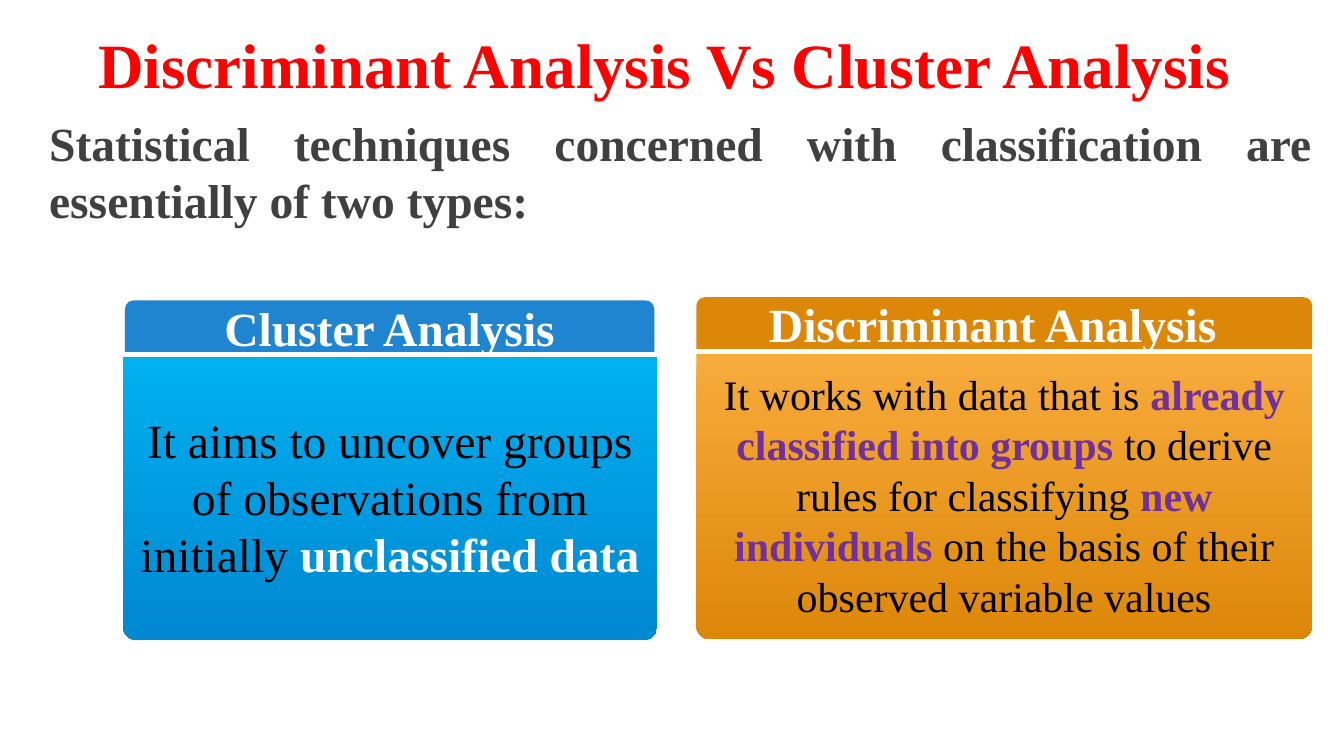
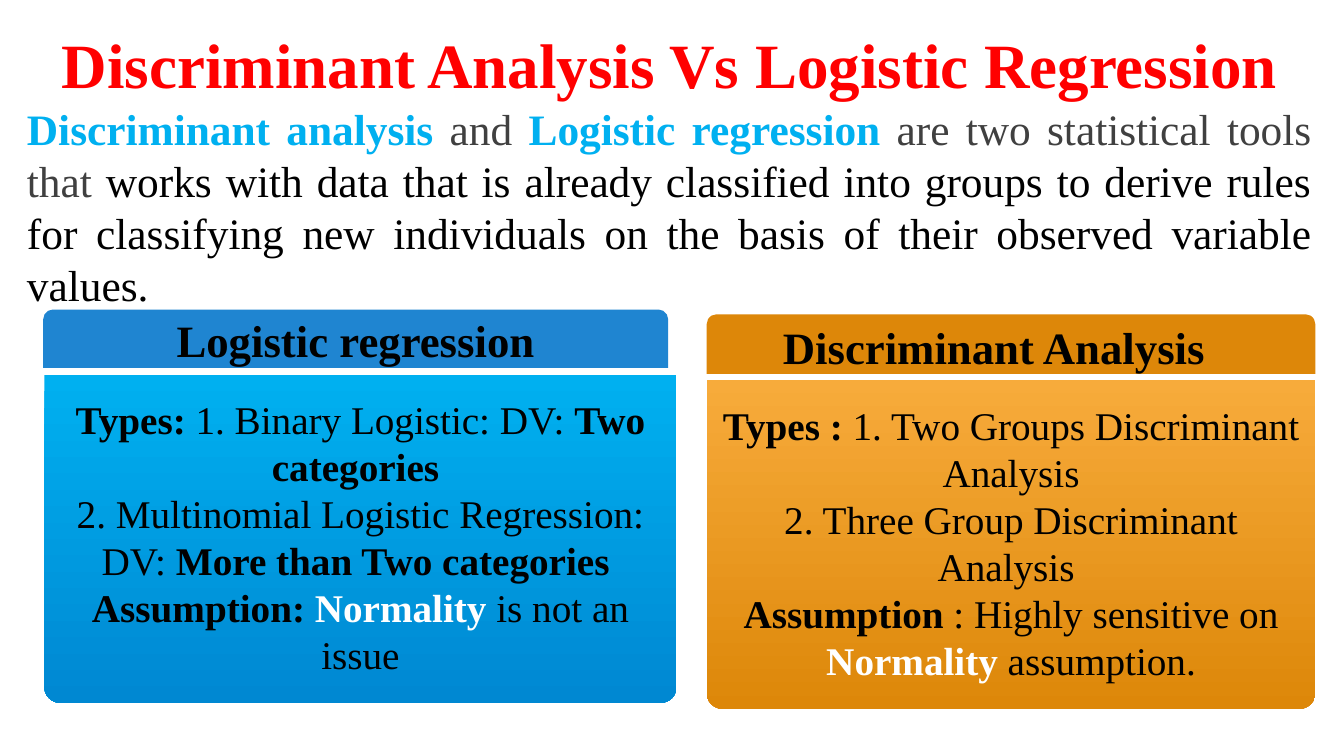
from dataclasses import dataclass

from pptx import Presentation
from pptx.dml.color import RGBColor
from pptx.enum.shapes import MSO_SHAPE
from pptx.enum.text import MSO_ANCHOR, MSO_AUTO_SIZE, PP_ALIGN
from pptx.util import Cm, Pt


@dataclass(frozen=True)
class Theme:
    font: str = "Times New Roman"
    title: str = "FF0000"
    black: str = "000000"
    white: str = "FFFFFF"
    gray: str = "404040"
    purple: str = "7030A0"
    sky: str = "00B0F0"
    blue_header: str = "1F85D1"
    blue_body: tuple = ("00B0F0", "0088D2")
    orange_header: str = "DD8709"
    orange_body: tuple = ("F7AB3B", "DD8709")
    title_size: int = 45
    body_corner: float = 0.048
    side_inset: float = 0.2
    text_inset: float = 0.25


THEME = Theme()


def plain(text, color=THEME.black):
    return text, color, False


def bold(text, color=THEME.black):
    return text, color, True


SLIDES = [
    {
        "title": "Discriminant Analysis Vs Cluster Analysis ",
        "title_box": (1.7, 0, 30.48, 3.18),
        "intro": [bold("Statistical techniques concerned with classification are "
                       "essentially of two types:", THEME.gray)],
        "intro_box": (0.99, 2.87, 32.33, 3.45),
        "intro_size": 34,
        "header_size": 34,
        "header_color": THEME.white,
        "cards": [
            {
                "header": "Cluster Analysis",
                "header_box": (3.15, 7.57, 13.34, 1.3),
                "body_box": (3.1, 8.99, 13.46, 7.14),
                "body_size": 34,
                "body": [[
                    plain("It aims to uncover groups of observations from initially "),
                    bold("unclassified data", THEME.white),
                ]],
            },
            {
                "header": "Discriminant Analysis",
                "header_box": (17.55, 7.49, 15.52, 1.3),
                "label_box": (19.13, 7.32, 13.5, 1.7),
                "body_box": (17.55, 8.92, 15.52, 7.19),
                "body_size": 30,
                "body": [[
                    plain("It works with data that is "),
                    bold("already classified into groups", THEME.purple),
                    plain(" to derive rules for classifying "),
                    bold("new individuals", THEME.purple),
                    plain(" on the basis of their observed variable values"),
                ]],
            },
        ],
    },
    {
        "title": "Discriminant Analysis Vs Logistic Regression",
        "title_box": (0.48, 0, 32.79, 3.18),
        "intro": [
            bold("Discriminant analysis", THEME.sky),
            plain(" and ", THEME.gray),
            bold("Logistic regression", THEME.sky),
            plain(" are two statistical tools that ", THEME.gray),
            plain("works with data that is already classified into groups to derive "
                  "rules for classifying new individuals on the basis of their "
                  "observed variable values."),
        ],
        "intro_box": (0.43, 2.57, 32.87, 5.05),
        "intro_size": 31,
        "header_size": 32,
        "header_color": THEME.black,
        "cards": [
            {
                "header": "Logistic regression",
                "header_box": (1.09, 7.8, 15.75, 1.47),
                "body_box": (1.12, 9.45, 15.93, 8.26),
                "body_size": 28,
                "body": [
                    [bold("Types:"), plain(" 1. Binary Logistic: DV: "),
                     bold("Two categories ")],
                    [plain("2. Multinomial Logistic Regression: DV: "),
                     bold("More than Two categories ")],
                    [bold("Assumption: "), bold("Normality", THEME.white),
                     plain(" is not an issue")],
                ],
            },
            {
                "header": "Discriminant Analysis",
                "header_box": (17.81, 7.92, 15.34, 1.5),
                "label_box": (19.48, 7.92, 11.58, 1.63),
                "body_box": (17.81, 9.58, 15.34, 8.28),
                "body_size": 28,
                "body": [
                    [bold("Types :"), plain(" 1. Two Groups Discriminant Analysis")],
                    [plain("2. Three Group Discriminant Analysis ")],
                    [bold("Assumption "), plain(": Highly sensitive on "),
                     bold("Normality ", THEME.white), plain("assumption.")],
                ],
            },
        ],
    },
]

CARD_FILLS = [
    (THEME.blue_header, THEME.blue_body),
    (THEME.orange_header, THEME.orange_body),
]


def lengths(box):
    return [Cm(value) for value in box]


def write(shape, paragraphs, size, align, anchor=MSO_ANCHOR.MIDDLE):
    frame = shape.text_frame
    frame.word_wrap = True
    frame.auto_size = MSO_AUTO_SIZE.NONE
    frame.vertical_anchor = anchor
    for index, runs in enumerate(paragraphs):
        paragraph = frame.add_paragraph() if index else frame.paragraphs[0]
        paragraph.alignment = align
        for text, color, is_bold in runs:
            run = paragraph.add_run()
            run.text = text
            run.font.name = THEME.font
            run.font.size = Pt(size)
            run.font.bold = is_bold
            run.font.color.rgb = RGBColor.from_string(color)


def add_title(slide, content):
    title = slide.shapes.title
    title.left, title.top, title.width, title.height = lengths(content["title_box"])
    write(title, [[bold(content["title"], THEME.title)]], THEME.title_size,
          PP_ALIGN.CENTER)


def add_intro(slide, content):
    intro = slide.shapes.add_textbox(*lengths(content["intro_box"]))
    intro.text_frame.margin_top = intro.text_frame.margin_bottom = 0
    write(intro, [content["intro"]], content["intro_size"], PP_ALIGN.JUSTIFY,
          MSO_ANCHOR.TOP)


def add_panel(slide, box):
    panel = slide.shapes.add_shape(MSO_SHAPE.ROUND_2_SAME_RECTANGLE, *lengths(box))
    panel.shadow.inherit = False
    panel.line.fill.background()
    panel.text_frame.margin_left = panel.text_frame.margin_right = Cm(THEME.side_inset)
    return panel


def add_card(slide, card, fills, header_size, header_color):
    header_fill, body_fill = fills
    header = add_panel(slide, card["header_box"])
    header.fill.solid()
    header.fill.fore_color.rgb = RGBColor.from_string(header_fill)

    body = add_panel(slide, card["body_box"])
    body.adjustments[0] = 0
    body.adjustments[1] = THEME.body_corner
    body.fill.gradient()
    body.fill.gradient_angle = 270
    for stop, color in zip(body.fill.gradient_stops, body_fill):
        stop.color.rgb = RGBColor.from_string(color)
    write(body, card["body"], card["body_size"], PP_ALIGN.CENTER)

    header_text = [[bold(card["header"], header_color)]]
    if "label_box" in card:
        label = slide.shapes.add_textbox(*lengths(card["label_box"]))
        label.text_frame.margin_left = Cm(THEME.text_inset)
        write(label, header_text, header_size, PP_ALIGN.LEFT, MSO_ANCHOR.TOP)
    else:
        write(header, header_text, header_size, PP_ALIGN.CENTER)


def main():
    presentation = Presentation()
    presentation.slide_width = Cm(33.87)
    presentation.slide_height = Cm(19.05)
    for content in SLIDES:
        slide = presentation.slides.add_slide(presentation.slide_layouts[5])
        add_title(slide, content)
        add_intro(slide, content)
        for card, fills in zip(content["cards"], CARD_FILLS):
            add_card(slide, card, fills, content["header_size"],
                     content["header_color"])
    presentation.save("out.pptx")


if __name__ == "__main__":
    main()
